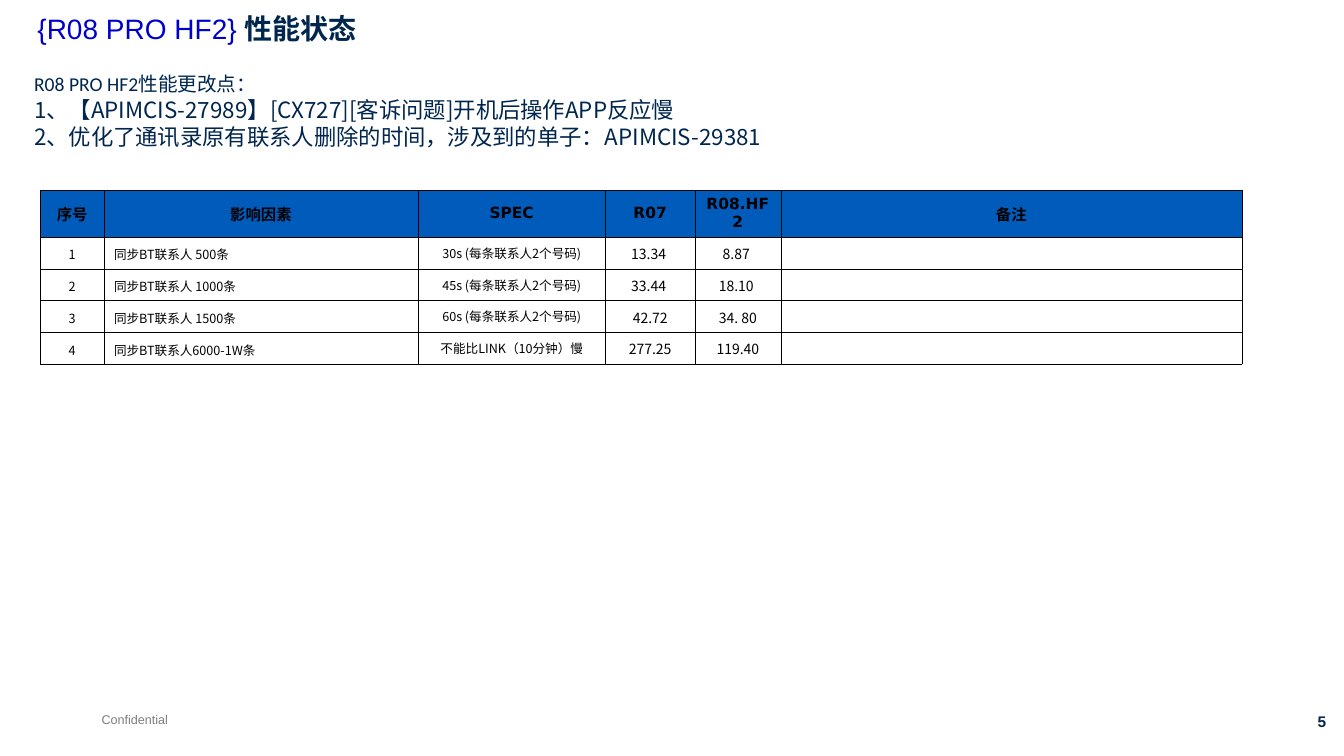
from lxml import etree
from pptx import Presentation
from pptx.dml.color import RGBColor
from pptx.enum import text
from pptx.oxml import ns
from pptx.util import Cm, Pt

NAVY = RGBColor(0x00, 0x26, 0x4E)
TITLE_BLUE = RGBColor(0x00, 0x00, 0xCC)
HEADER_BLUE = RGBColor(0x00, 0x5B, 0xBA)
GREY = RGBColor(0x7F, 0x7F, 0x7F)
BLACK = RGBColor(0x00, 0x00, 0x00)
WHITE = RGBColor(0xFF, 0xFF, 0xFF)

CJK = "Noto Sans CJK SC"
LEFT, CENTER, RIGHT = text.PP_ALIGN.LEFT, text.PP_ALIGN.CENTER, text.PP_ALIGN.RIGHT
MIDDLE, BOTTOM = text.MSO_ANCHOR.MIDDLE, text.MSO_ANCHOR.BOTTOM

COLUMN_WIDTHS = [1.6, 7.92, 4.72, 2.26, 2.16, 11.63]
HEADER_HEIGHT, ROW_HEIGHT = 1.19, 0.8
HEADERS = ["序号", "影响因素", "SPEC", "R07", "R08.HF2", "备注"]
RESULTS = [
    ["1", "同步BT联系人 500条", "30s (每条联系人2个号码)", "13.34 ", "8.87 ", ""],
    ["2", "同步BT联系人 1000条", "45s (每条联系人2个号码)", "33.44 ", "18.10 ", ""],
    ["3", "同步BT联系人 1500条", "60s (每条联系人2个号码)", "42.72", "34. 80", ""],
    ["4", "同步BT联系人6000-1W条", "不能比LINK（10分钟）慢", "277.25", "119.40", ""],
]
# Alignment, anchor and text size of each column below the header
COLUMN_STYLES = [
    (CENTER, BOTTOM, 9), (LEFT, BOTTOM, 9), (CENTER, MIDDLE, 9),
    (CENTER, BOTTOM, 10), (CENTER, BOTTOM, 10), (LEFT, BOTTOM, 10),
]


def style_font(font, size, name, color, bold=False):
    font.size, font.name, font.bold = Pt(size), name, bold
    font.color.rgb = color


def add_title(slide):
    title = slide.shapes.title
    title.left, title.top, title.width, title.height = Cm(0.69), Cm(0.25), Cm(30.1), Cm(1.6)
    frame = title.text_frame
    frame.vertical_anchor = text.MSO_ANCHOR.TOP
    frame.auto_size = text.MSO_AUTO_SIZE.NONE
    heading = frame.paragraphs[0]
    heading.alignment, heading.line_spacing = LEFT, 0.9
    for words, color, bold in [("{R08 PRO HF2} ", TITLE_BLUE, False), ("性能状态", NAVY, True)]:
        run = heading.add_run()
        run.text = words
        style_font(run.font, 20, "Arial", color, bold)


def add_text(slide, left, top, width, height, lines, color, align=LEFT, bold=False):
    """Add an unwrapped text box; each line is (words, size, font name)."""
    frame = slide.shapes.add_textbox(Cm(left), Cm(top), Cm(width), Cm(height)).text_frame
    frame.word_wrap = False
    frame.auto_size = text.MSO_AUTO_SIZE.SHAPE_TO_FIT_TEXT
    for index, (words, size, name) in enumerate(lines):
        line = frame.add_paragraph() if index else frame.paragraphs[0]
        line.text, line.alignment = words, align
        style_font(line.font, size, name, color, bold)


def add_borders(cell):
    properties = cell._tc.get_or_add_tcPr()
    for index, side in enumerate(["lnL", "lnR", "lnT", "lnB"]):
        border = etree.Element(ns.qn(f"a:{side}"), w=str(Pt(0.25)))
        fill = etree.SubElement(border, ns.qn("a:solidFill"))
        etree.SubElement(fill, ns.qn("a:srgbClr"), val=str(BLACK))
        properties.insert(index, border)


def fill_cell(cell, words, align, anchor, size, name, fill, bold=False):
    cell.fill.solid()
    cell.fill.fore_color.rgb = fill
    cell.vertical_anchor = anchor
    entry = cell.text_frame.paragraphs[0]
    entry.text, entry.alignment = words, align
    style_font(entry.font, size, name, BLACK, bold)
    add_borders(cell)


def add_results_table(slide):
    height = HEADER_HEIGHT + ROW_HEIGHT * len(RESULTS)
    table = slide.shapes.add_table(len(RESULTS) + 1, len(HEADERS), Cm(1.02), Cm(4.78),
                                   Cm(sum(COLUMN_WIDTHS)), Cm(height)).table
    table.first_row = table.horz_banding = False
    for column, width in zip(table.columns, COLUMN_WIDTHS):
        column.width = Cm(width)
    for index, row in enumerate(table.rows):
        row.height = Cm(ROW_HEIGHT if index else HEADER_HEIGHT)
    for column, words in enumerate(HEADERS):
        fill_cell(table.cell(0, column), words, CENTER, MIDDLE, 11, "DejaVu Sans",
                  HEADER_BLUE, bold=True)
    for row, result in enumerate(RESULTS, start=1):
        for column, (words, style) in enumerate(zip(result, COLUMN_STYLES)):
            fill_cell(table.cell(row, column), words, *style, CJK, WHITE)


def main():
    deck = Presentation()
    deck.slide_width, deck.slide_height = Cm(33.88), Cm(19.05)
    slide = deck.slides.add_slide(deck.slide_layouts[5])
    add_text(slide, 2.31, 17.81, 2.18, 0.64, [("Confidential", 9, "Arial")], GREY)
    add_text(slide, 31.29, 17.81, 2.39, 0.74, [("5", 11, "Arial")], NAVY, RIGHT, bold=True)
    add_title(slide)
    add_text(slide, 0.61, 1.7, 19.23, 2.21, [
        ("R08 PRO HF2性能更改点：", 14, "Calibri"),
        ("1、【APIMCIS-27989】[CX727][客诉问题]开机后操作APP反应慢", 16, CJK),
        ("2、优化了通讯录原有联系人删除的时间，涉及到的单子：APIMCIS-29381", 16, CJK),
    ], NAVY)
    add_results_table(slide)
    deck.save("out.pptx")


if __name__ == "__main__":
    main()
